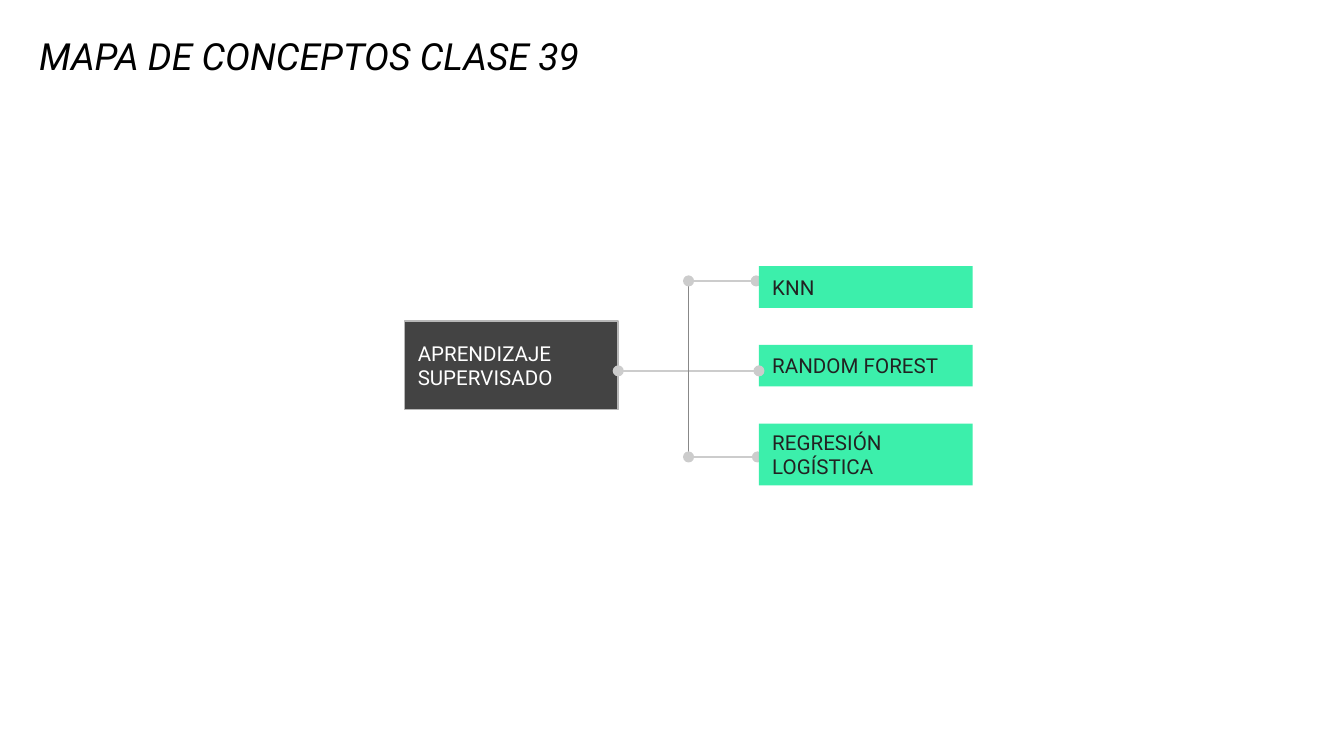
from lxml.etree import SubElement
from pptx import Presentation
from pptx.dml.color import RGBColor
from pptx.enum.shapes import MSO_CONNECTOR, MSO_SHAPE
from pptx.enum.text import MSO_ANCHOR, PP_ALIGN
from pptx.oxml.ns import qn
from pptx.util import Pt

COLORS = {
    "title": "000000", "root": "434343", "root_line": "B7B7B7", "root_text": "FFFFFF",
    "leaf": "3CEFAB", "leaf_text": "222222", "branch": "CCCCCC", "trunk": "888888",
}
TOPICS = [("KNN", 22.3), ("RANDOM FOREST", 22.3), ("REGRESIÓN LOGÍSTICA", 33.1)]


def rgb(name):
    return RGBColor.from_string(COLORS[name])


def write_text(sp, text, size, color, anchor, italic=False):
    tf = sp.text_frame
    frame = {"word_wrap": True, "vertical_anchor": anchor}
    frame.update({f"margin_{side}": Pt(7.2) for side in ("left", "top", "right", "bottom")})
    for name, value in frame.items():
        setattr(tf, name, value)
    p = tf.paragraphs[0]
    p.alignment = PP_ALIGN.LEFT
    r = p.add_run()
    r.text = text
    for name, value in {"name": "Roboto", "size": Pt(size), "italic": italic}.items():
        setattr(r.font, name, value)
    r.font.color.rgb = rgb(color)


def add_title(s, text, x, y, w, h):
    sp = s.shapes.add_textbox(Pt(x), Pt(y), Pt(w), Pt(h))
    write_text(sp, text, 20, "title", MSO_ANCHOR.BOTTOM, italic=True)


def add_node(s, text, x, y, w, h, fill, color, line=None):
    sp = s.shapes.add_shape(MSO_SHAPE.RECTANGLE, Pt(x), Pt(y), Pt(w), Pt(h))
    sp.shadow.inherit = False
    sp.fill.solid()
    sp.fill.fore_color.rgb = rgb(fill)
    if line:
        sp.line.color.rgb = rgb(line)
        sp.line.width = Pt(0.75)
    else:
        sp.line.fill.background()
    write_text(sp, text, 11, color, MSO_ANCHOR.MIDDLE)


def add_link(s, x1, y1, x2, y2, color, dots=True):
    cx = s.shapes.add_connector(MSO_CONNECTOR.STRAIGHT, Pt(x1), Pt(y1), Pt(x2), Pt(y2))
    cx.line.color.rgb = rgb(color)
    cx.line.width = Pt(0.75)
    if dots:
        for end in ("a:headEnd", "a:tailEnd"):
            SubElement(cx.line._get_or_add_ln(), qn(end), type="oval")
    SubElement(cx._element.spPr, qn("a:effectLst"))


def add_concept_map(s, root, topics, x, y, w, h):
    node_w, root_h = 114.5, 47.5
    leaf_x = x + w - node_w
    trunk_x = (x + node_w + leaf_x) / 2
    gap = (h - sum(height for _, height in topics)) / (len(topics) - 1)
    leaves, top = [], y
    for text, height in topics:
        leaves.append((text, leaf_x, top, node_w, height, "leaf", "leaf_text"))
        top += height + gap
    first, middle, last = leaves
    upper, center, lower = y + 7.9, y + 56.1, y + 102.2

    add_node(s, root, x, y + 29.4, node_w, root_h, "root", "root_text", "root_line")
    add_node(s, *middle)
    add_link(s, x + node_w, center, leaf_x, center, "branch")
    add_link(s, trunk_x, upper, trunk_x, lower, "trunk", dots=False)
    for level, end_gap in ((upper, 1.5), (lower, 0.8)):
        add_link(s, trunk_x, level, leaf_x - end_gap, level, "branch")
    add_node(s, *first)
    add_node(s, *last)


def main():
    prs = Presentation()
    prs.slide_width, prs.slide_height = Pt(720), Pt(405)
    s = prs.slides.add_slide(prs.slide_layouts[6])
    add_title(s, "MAPA DE CONCEPTOS CLASE 39", 13.9, 15.8, 594.7, 33.1)
    add_concept_map(s, "APRENDIZAJE SUPERVISADO", TOPICS, 216.7, 142.6, 304.4, 117.4)
    prs.save("out.pptx")


if __name__ == "__main__":
    main()
